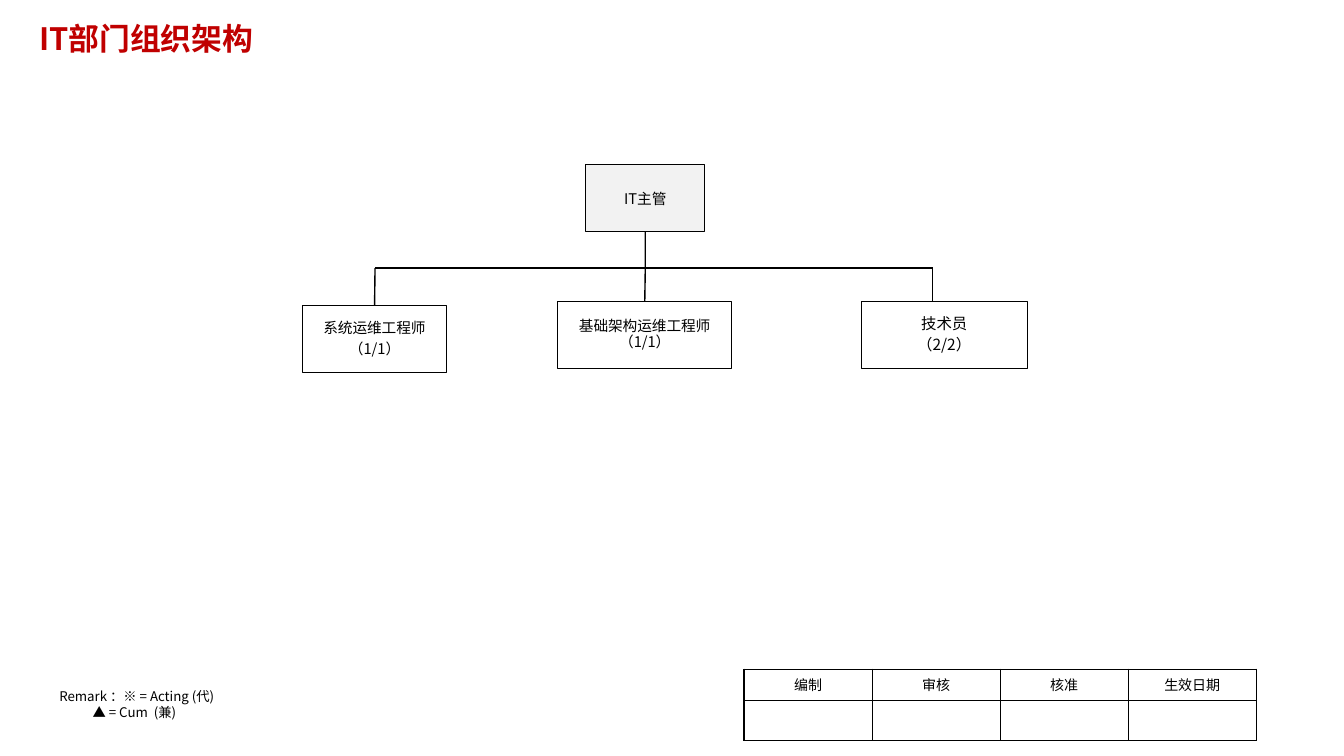
from dataclasses import dataclass

import lxml.etree
import pptx
import pptx.dml.color
import pptx.enum.shapes
import pptx.enum.text
import pptx.oxml.ns
import pptx.util

TITLE = "IT部门组织架构"
REMARKS = [("Remark ：※ = Acting (代)", 0.2), ("▲ = Cum  (兼)", 0.53)]
APPROVALS = ["编制", "审核", "核准", "生效日期"]
MANAGER = {"lines": ["IT主管"], "frame": (5.81, 1.63, 1.18, 0.67)}
TEAMS = [
    {"lines": ["系统运维工程师", "（1/1）"], "frame": (3.0, 3.03, 1.43, 0.67), "size": 10.5, "drop": 3.72},
    {"lines": ["基础架构运维工程师（1/1）"], "frame": (5.53, 2.99, 1.73, 0.67), "size": 10.5, "drop": 6.4},
    {"lines": ["技术员", "（2/2）"], "frame": (8.54, 2.99, 1.65, 0.67), "size": 11, "drop": 9.25},
]
BUS_TOP = 2.66
TABLE_LEFT, TABLE_TOP, COLUMN_WIDTH = 7.38, 6.64, 1.27
ROW_HEIGHTS = [0.31, 0.4]


@dataclass(frozen=True)
class Theme:
    font: str = "Noto Sans CJK SC"
    title: str = "C00000"
    ink: str = "000000"
    manager: str = "F2F2F2"
    paper: str = "FFFFFF"
    title_size: float = 22
    box_size: float = 10.5
    table_size: float = 10
    remark_size: float = 9.5


THEME = Theme()
ALIGN = pptx.enum.text.PP_ALIGN
MIDDLE = pptx.enum.text.MSO_ANCHOR.MIDDLE
inches = pptx.util.Inches


def color(code):
    return pptx.dml.color.RGBColor.from_string(code)


def add_child(parent, tag, **attributes):
    return lxml.etree.SubElement(parent, pptx.oxml.ns.qn(tag), attributes)


def style(para, size, code=THEME.ink, bold=False, align=ALIGN.CENTER):
    para.alignment = align
    font = para.font
    font.name, font.size, font.bold = THEME.font, pptx.util.Pt(size), bold
    font.color.rgb = color(code)
    add_child(para._p.pPr.find(pptx.oxml.ns.qn("a:defRPr")), "a:ea", typeface=THEME.font)


def set_insets(frame, side, top):
    frame.margin_left = frame.margin_right = inches(side)
    frame.margin_top = frame.margin_bottom = inches(top)


def write_lines(frame, lines):
    frame.word_wrap = True
    frame.text = "\n".join(lines)
    return frame.paragraphs


def add_text(page, bounds, lines, side, top):
    frame = page.shapes.add_textbox(*map(inches, bounds)).text_frame
    set_insets(frame, side, top)
    return write_lines(frame, lines)


def add_box(page, entry, fill, size, spacing, after):
    kind = pptx.enum.shapes.MSO_SHAPE.RECTANGLE
    box = page.shapes.add_shape(kind, *map(inches, entry["frame"]))
    box.shadow.inherit = False
    box.fill.solid()
    box.fill.fore_color.rgb = color(fill)
    box.line.color.rgb = color(THEME.ink)
    box.line.width = pptx.util.Pt(0.75)
    frame = box.text_frame
    frame.vertical_anchor = MIDDLE
    set_insets(frame, 0.12, 0.08)
    for para in write_lines(frame, entry["lines"]):
        para.line_spacing = spacing
        para.space_after = pptx.util.Pt(after)
        style(para, size)
    return box


def add_line(page, start, end):
    kind = pptx.enum.shapes.MSO_CONNECTOR.STRAIGHT
    line = page.shapes.add_connector(kind, *map(inches, start + end))
    line.line.color.rgb = color(THEME.ink)
    line.line.width = pptx.util.Pt(1)
    add_child(line._element.spPr, "a:effectLst")
    return line


def add_chart_of_staff(page):
    manager = add_box(page, MANAGER, THEME.manager, THEME.box_size, 1.1, 0)
    left, top, width, height = MANAGER["frame"]
    center = left + width / 2
    stem = add_line(page, (center, top + height), (center, BUS_TOP))
    stem.begin_connect(manager, 2)
    add_line(page, (TEAMS[0]["drop"], BUS_TOP), (TEAMS[-1]["drop"], BUS_TOP))
    for team in TEAMS:
        box = add_box(page, team, THEME.paper, team["size"], 0.9, 3.5)
        left, top, width, height = team["frame"]
        drop = add_line(page, (team["drop"], BUS_TOP), (team["drop"], top))
        if abs(left + width / 2 - team["drop"]) < 0.02:
            drop.end_connect(box, 0)


def style_cell(cell):
    cell.vertical_anchor = MIDDLE
    set_insets(cell, 0.06, 0.01)
    style(cell.text_frame.paragraphs[0], THEME.table_size)
    properties = cell._tc.get_or_add_tcPr()
    for side in ("a:lnL", "a:lnR", "a:lnT", "a:lnB"):
        border = add_child(properties, side, w=str(pptx.util.Pt(1)))
        add_child(add_child(border, "a:solidFill"), "a:srgbClr", val=THEME.ink)
    cell.fill.solid()
    cell.fill.fore_color.rgb = color(THEME.paper)


def add_approvals(page):
    bounds = (TABLE_LEFT, TABLE_TOP, COLUMN_WIDTH * len(APPROVALS), sum(ROW_HEIGHTS))
    table = page.shapes.add_table(len(ROW_HEIGHTS), len(APPROVALS), *map(inches, bounds)).table
    table.first_row = table.horz_banding = False
    for row, height in zip(table.rows, ROW_HEIGHTS):
        row.height = inches(height)
    for index, label in enumerate(APPROVALS):
        table.columns[index].width = inches(COLUMN_WIDTH)
        table.cell(0, index).text = label
    for cell in table.iter_cells():
        style_cell(cell)


def main():
    deck = pptx.Presentation()
    deck.slide_width, deck.slide_height = inches(13.33), inches(7.5)
    page = deck.slides.add_slide(deck.slide_layouts[6])
    title = add_text(page, (0.38, 0.19, 10.37, 0.43), [TITLE], 0.01, 0.01)[0]
    style(title, THEME.title_size, THEME.title, True, ALIGN.LEFT)
    add_approvals(page)
    paras = add_text(page, (0.29, 6.78, 2.42, 0.42), [text for text, _ in REMARKS], 0.1, 0.05)
    for para, (_, indent) in zip(paras, REMARKS):
        style(para, THEME.remark_size, align=ALIGN.LEFT)
        para._p.pPr.set("marL", str(inches(indent)))
    add_chart_of_staff(page)
    deck.save("out.pptx")


if __name__ == "__main__":
    main()
